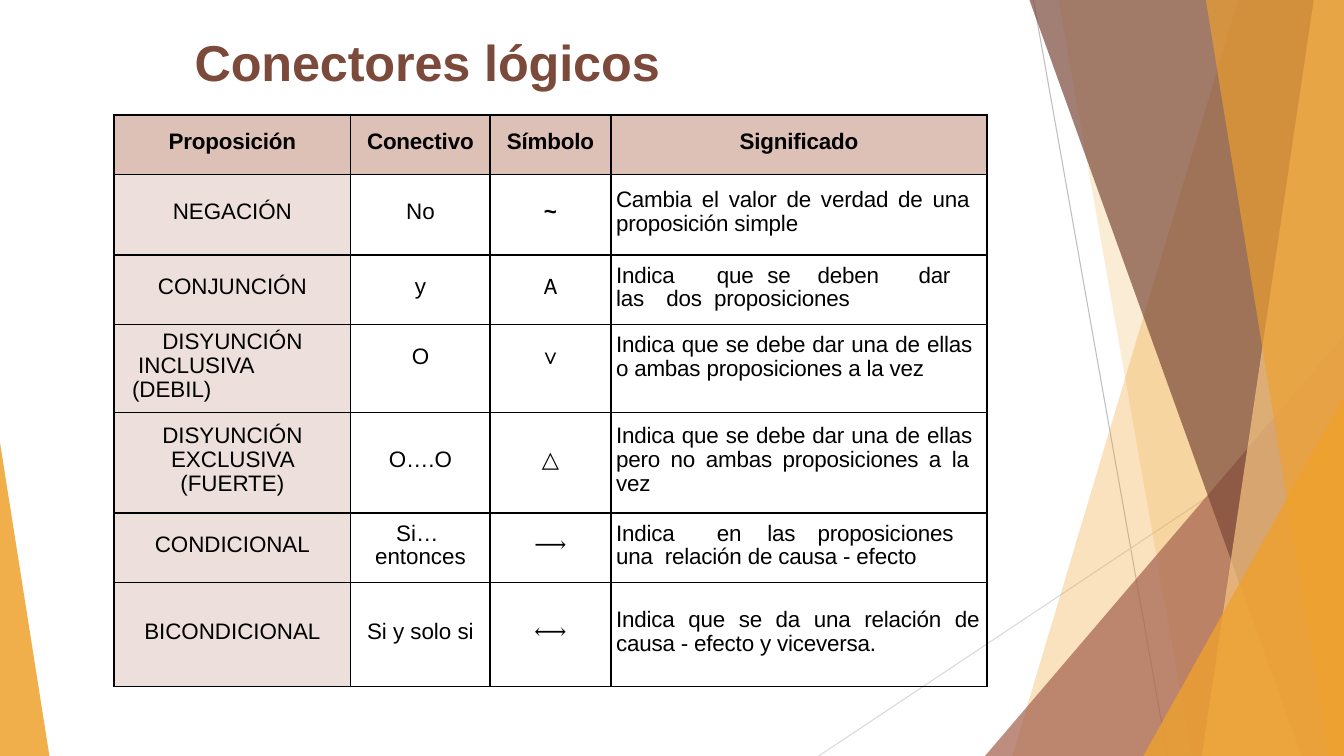
from lxml.etree import SubElement
from pptx import Presentation
from pptx.dml.color import RGBColor
from pptx.enum.shapes import MSO_CONNECTOR as Connector
from pptx.enum.text import MSO_ANCHOR as Anchor, PP_ALIGN as Align
from pptx.oxml.ns import qn
from pptx.util import Inches, Pt

COLORS = {
    "amber": "EFA12D", "sand": "F6C682", "rust": "A4634E", "brown": "7B4A3A",
    "gray": "BEBEBE", "pale_gray": "D9D9D9", "black": "000000",
    "header": "DDC0B6", "label": "EDDFDB",
}
RIGHT, BOTTOM = 13.33, 7.5

LINES = [
    ((10.25, 0), (11.58, BOTTOM), "gray"),
    ((RIGHT, 4.03), (8.12, BOTTOM), "pale_gray"),
]


def band(top_left, bottom_left):
    return [(RIGHT, 0), (top_left, 0), (bottom_left, BOTTOM), (RIGHT, BOTTOM)]


def wedge(top, left):
    return [(RIGHT, top), (left, BOTTOM), (RIGHT, BOTTOM)]


FACETS = [
    (band(12.28, 10.04), "amber", 30),
    (band(10.5, 11.82), "amber", 20),
    (wedge(3.33, 9.77), "rust", 72),
    (band(10.21, 12.91), "brown", 70),
    (band(13.03, 11.92), "sand", 70),
    (band(11.96, 13.18), "amber", 65),
    (wedge(3.93, 11.34), "amber", 80),
    ([(0, 4.39), (0, BOTTOM), (0.49, BOTTOM)], "amber", 85),
]

HEADERS = ["Proposición", "Conectivo", "Símbolo", "Significado"]
ROWS = [
    ["NEGACIÓN", "No", "~", "Cambia el valor de verdad de una  proposición simple"],
    ["CONJUNCIÓN", "y", "𝖠", "Indica\tque\tse\tdeben\tdar\tlas\tdos  proposiciones"],
    ["DISYUNCIÓN  INCLUSIVA (DEBIL)", "O", "∨",
     "Indica que se debe dar una de ellas  o ambas proposiciones a la vez"],
    ["DISYUNCIÓN  EXCLUSIVA  (FUERTE)", "O….O", "△",
     "Indica que se debe dar una de ellas  pero no ambas proposiciones a la  vez"],
    ["CONDICIONAL", "Si…  entonces", "⟶",
     "Indica\ten\tlas\tproposiciones\tuna  relación de causa - efecto"],
    ["BICONDICIONAL", "Si y solo si", "⟷",
     "Indica que se da una relación de causa - efecto y viceversa."],
]
COLUMN_WIDTHS = [2.35, 1.38, 1.2, 3.73]
ROW_HEIGHTS = [0.59, 0.8, 0.69, 0.87, 1, 0.69, 1.03]
INCLUSIVE, EXCLUSIVE, CONDITIONAL = 3, 4, 5
TABS = {2: [0.78, 1.3, 1.67, 2.43, 2.9, 3.32], 5: [0.83, 1.27, 1.75, 3.31]}
INDENTS = {
    (INCLUSIVE, 0): (0.18, 0.45, 0.3),
    (EXCLUSIVE, 0): (0.45, 0.45, 0),
    (CONDITIONAL, 1): (0.2, 0.2, 0),
}


class SlideBuilder:
    font = "Arial"
    symbol_font = "Times New Roman"
    body_size = 16
    title_size = 36

    def __init__(self, page):
        self.page = page

    def color(self, name):
        return RGBColor.from_string(COLORS[name])

    def line(self, start, end, color):
        points = [Inches(value) for value in (*start, *end)]
        line = self.page.shapes.add_connector(Connector.STRAIGHT, *points)
        line.line.color.rgb = self.color(color)
        line.line.width = Pt(0.75)
        SubElement(line._element.spPr, qn("a:effectLst"))

    def facet(self, points, color, opacity):
        corners = [(Inches(x), Inches(y)) for x, y in points]
        outline = self.page.shapes.build_freeform(*corners[0])
        outline.add_line_segments(corners[1:], close=True)
        shape = outline.convert_to_shape()
        shape.shadow.inherit = False
        shape.line.fill.background()
        shape.fill.solid()
        shape.fill.fore_color.rgb = self.color(color)
        tint = shape._element.spPr.find(qn("a:solidFill"))[0]
        SubElement(tint, qn("a:alpha"), val=str(opacity * 1000))

    def format_runs(self, para, size, color, font=None, bold=False, spacing=0):
        for span in para.runs:
            span.font.name = font or self.font
            span.font.size = Pt(size)
            span.font.bold = bold
            span.font.color.rgb = self.color(color)
            span.font._element.set("spc", str(spacing))

    def title(self, text, left, top, width, height):
        box = self.page.shapes.add_textbox(*map(Inches, (left, top, width, height)))
        frame = box.text_frame
        frame.margin_left = frame.margin_right = frame.margin_bottom = 0
        frame.margin_top = Inches(0.05)
        frame.word_wrap = False
        frame.text = text
        self.format_runs(frame.paragraphs[0], self.title_size, "brown", bold=True, spacing=-10)

    def borders(self, cell):
        properties = cell._tc.get_or_add_tcPr()
        for side in ("lnL", "lnR", "lnT", "lnB"):
            edge = SubElement(properties, qn(f"a:{side}"), w=str(Pt(1)))
            fill = SubElement(edge, qn("a:solidFill"))
            SubElement(fill, qn("a:srgbClr"), val=COLORS["black"])

    def indent(self, para, left, right, first):
        properties = para._p.get_or_add_pPr()
        for name, value in (("marL", left), ("marR", right), ("indent", first)):
            properties.set(name, str(Inches(value)))

    def tab_stops(self, para, stops):
        tabs = SubElement(para._p.get_or_add_pPr(), qn("a:tabLst"))
        for stop in stops:
            SubElement(tabs, qn("a:tab"), pos=str(Inches(stop)), algn="l")

    def cell(self, cell, text, row, column):
        header, meaning = row == 0, row > 0 and column == 3
        cell.margin_left = cell.margin_right = cell.margin_top = 0
        raised = row == INCLUSIVE and column > 0
        cell.margin_bottom = Inches(0.22 if raised else 0.04)
        cell.vertical_anchor = Anchor.MIDDLE
        self.borders(cell)
        if header or column == 0:
            cell.fill.solid()
            cell.fill.fore_color.rgb = self.color("header" if header else "label")
        else:
            cell.fill.background()
        cell.text_frame.text = text
        para = cell.text_frame.paragraphs[0]
        para.line_spacing = 0.96
        para.alignment = Align.CENTER
        if (row, column) in INDENTS:
            self.indent(para, *INDENTS[row, column])
        if (row, column) == (INCLUSIVE, 0):
            para.alignment = Align.LEFT
        if meaning:
            self.indent(para, 0.05, 0.07, 0)
            para.alignment = Align.LEFT if row in TABS else Align.JUSTIFY
            if row in TABS:
                self.tab_stops(para, TABS[row])
        symbol = row > 0 and column == 2 and text != "~"
        self.format_runs(
            para, self.body_size, "black",
            font=self.symbol_font if symbol else self.font,
            bold=header or text == "~",
            spacing=-10 if header or meaning else 0,
        )

    def table(self, rows, left, top):
        size = (sum(COLUMN_WIDTHS), sum(ROW_HEIGHTS))
        frame = self.page.shapes.add_table(
            len(rows), len(rows[0]), *map(Inches, (left, top, *size)))
        table = frame.table
        table.first_row = table.horz_banding = False
        for column, width in zip(table.columns, COLUMN_WIDTHS):
            column.width = Inches(width)
        for row, height in zip(table.rows, ROW_HEIGHTS):
            row.height = Inches(height)
        for row, texts in enumerate(rows):
            for column, text in enumerate(texts):
                self.cell(table.cell(row, column), text, row, column)


def main():
    deck = Presentation()
    deck.slide_width, deck.slide_height = Inches(RIGHT), Inches(BOTTOM)
    builder = SlideBuilder(deck.slides.add_slide(deck.slide_layouts[6]))
    for line in LINES:
        builder.line(*line)
    for facet in FACETS:
        builder.facet(*facet)
    builder.title("Conectores lógicos", 1.93, 0.26, 4.66, 0.63)
    builder.table([HEADERS, *ROWS], 1.13, 1.14)
    deck.save("out.pptx")


if __name__ == "__main__":
    main()
